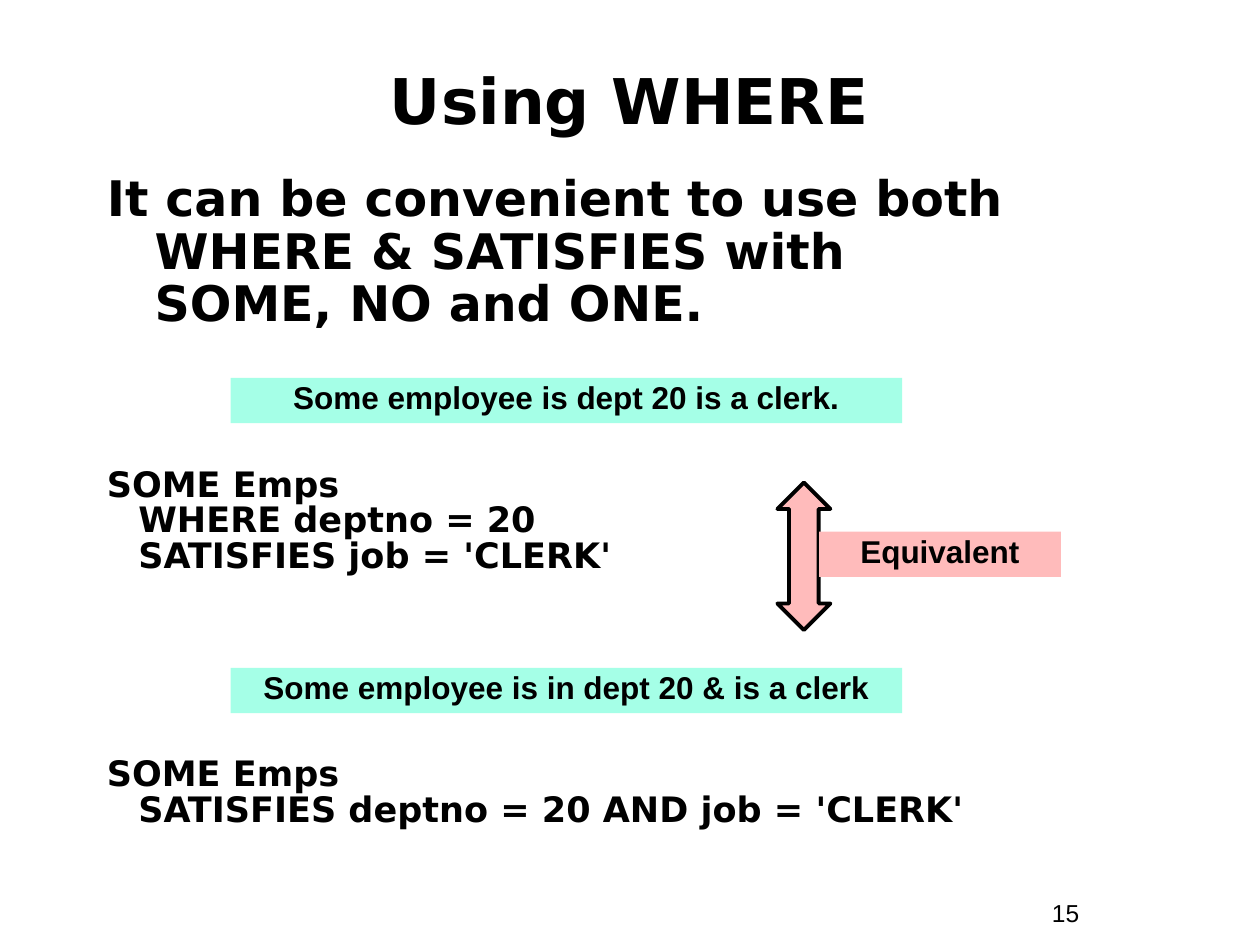
import pptx
import pptx.util
import pptx.dml.color
import pptx.enum.shapes
import pptx.enum.text
from pptx.util import Inches

CENTER = pptx.enum.text.PP_ALIGN.CENTER
LEFT = pptx.enum.text.PP_ALIGN.LEFT
SHAPES = pptx.enum.shapes.MSO_SHAPE


def color(hex_string):
    return pptx.dml.color.RGBColor.from_string(hex_string)


def write(box, text, size, font="DejaVu Sans", bold=True, align=LEFT, spacing=1.0, hanging=0):
    frame = box.text_frame
    frame.word_wrap = True
    frame.text = text
    para = frame.paragraphs[0]
    para.alignment = align
    para.line_spacing = spacing
    if hanging:
        properties = para._p.get_or_add_pPr()
        properties.set("marL", str(Inches(hanging)))
        properties.set("indent", str(-Inches(hanging)))
    for span in para.runs:
        span.font.name = font
        span.font.size = pptx.util.Pt(size)
        span.font.bold = bold
        span.font.color.rgb = color("000000")


deck = pptx.Presentation()
deck.slide_width, deck.slide_height = Inches(10), Inches(7.5)
page = deck.slides.add_slide(deck.slide_layouts[6])

# Page number
number = page.shapes.add_textbox(Inches(8.25), Inches(7.08), Inches(0.92), Inches(0.34))
write(number, "15", 14, font="Arial", bold=False)

# Title
title = page.shapes.add_textbox(Inches(0.33), Inches(0.33), Inches(9.33), Inches(0.92))
title.text_frame.vertical_anchor = pptx.enum.text.MSO_ANCHOR.MIDDLE
write(title, "Using WHERE", 36, align=CENTER)

# Introduction
intro = page.shapes.add_textbox(Inches(0.75), Inches(1.33), Inches(8.5), Inches(1.5))
write(intro, "It can be convenient to use both WHERE & SATISFIES with\vSOME, NO and ONE.",
      28, spacing=0.9, hanging=0.38)

# Query examples
for top, height, query in [
    (3.67, 0.95, "SOME Emps\vWHERE deptno = 20\vSATISFIES job = 'CLERK'"),
    (5.97, 0.67, "SOME Emps\vSATISFIES deptno = 20 AND job = 'CLERK'"),
]:
    box = page.shapes.add_textbox(Inches(0.75), Inches(top), Inches(7.83), Inches(height))
    write(box, query, 20, spacing=0.85, hanging=0.25)

# Double arrow between the equivalent queries
arrow = page.shapes.add_shape(SHAPES.UP_DOWN_ARROW, Inches(6.17), Inches(3.83),
                              Inches(0.42), Inches(1.17))
arrow.adjustments[0] = 0.5
arrow.adjustments[1] = 0.56
arrow.shadow.inherit = False
arrow.fill.solid()
arrow.fill.fore_color.rgb = color("FFBBBB")
arrow.line.color.rgb = color("000000")
arrow.line.width = pptx.util.Pt(2.25)

# Coloured labels
for left, top, width, fill, caption in [
    (1.83, 3, 5.33, "A5FFE7", "Some employee is dept 20 is a clerk."),
    (1.83, 5.3, 5.33, "A5FFE7", "Some employee is in dept 20 & is a clerk"),
    (6.5, 4.22, 1.92, "FFBBBB", "Equivalent"),
]:
    label = page.shapes.add_shape(SHAPES.RECTANGLE, Inches(left), Inches(top),
                                  Inches(width), Inches(0.36))
    label.shadow.inherit = False
    label.fill.solid()
    label.fill.fore_color.rgb = color(fill)
    label.line.fill.background()
    label.text_frame.vertical_anchor = pptx.enum.text.MSO_ANCHOR.TOP
    write(label, caption, 18, font="Arial", align=CENTER, spacing=0.85)

deck.save("out.pptx")
